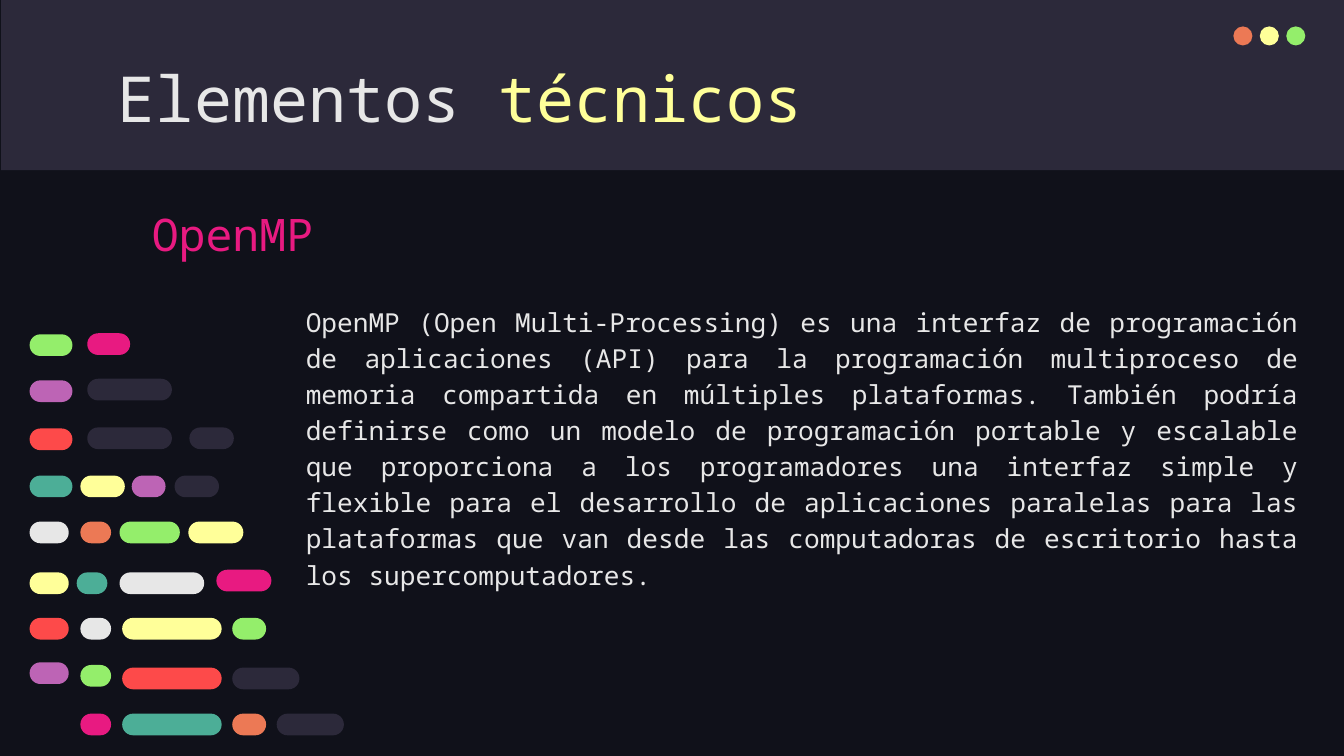
from pptx import Presentation
from pptx.dml.color import RGBColor
from pptx.enum.shapes import MSO_SHAPE
from pptx.enum.text import MSO_ANCHOR, MSO_AUTO_SIZE, PP_ALIGN
from pptx.util import Cm, Pt

RECTANGLE, OVAL, PILL = MSO_SHAPE.RECTANGLE, MSO_SHAPE.OVAL, MSO_SHAPE.ROUNDED_RECTANGLE
TOP, BOTTOM = MSO_ANCHOR.TOP, MSO_ANCHOR.BOTTOM
LEFT, JUSTIFY = PP_ALIGN.LEFT, PP_ALIGN.JUSTIFY
NO_AUTOFIT = MSO_AUTO_SIZE.NONE

THEME = {
    "font": "Noto Sans Mono",
    "sizes": {"title": 34, "heading": 24, "body": 14},
    "colours": {
        "night": "10111A", "slate": "2C293A", "white": "E7E7E7",
        "yellow": "FFFF99", "green": "94EE6B", "orange": "EC7955",
        "pink": "E81A81", "purple": "BD64B5", "red": "FD4A4A", "teal": "4CAE97",
    },
}

TITLE = [("Elementos ", "white"), ("técnicos", "yellow")]
HEADING = [("OpenMP", "pink")]
BODY = [(
    "OpenMP (Open Multi-Processing) es una interfaz de programación de "
    "aplicaciones (API) para la programación multiproceso de memoria compartida "
    "en múltiples plataformas. También podría definirse como un modelo de "
    "programación portable y escalable que proporciona a los programadores una "
    "interfaz simple y flexible para el desarrollo de aplicaciones paralelas para "
    "las plataformas que van desde las computadoras de escritorio hasta los "
    "supercomputadores.", "white")]

WINDOW_DOTS = ["orange", "yellow", "green"]
DOT_LEFT, DOT_TOP, DOT_SIZE, DOT_STEP = 23.31, 0.5, 0.36, 0.5

PILL_HEIGHT = 0.41
CODE_LINES = [
    (6.32, [(0.56, 0.81, "green")]),
    (6.3, [(1.65, 0.81, "pink")]),
    (7.19, [(0.56, 0.81, "purple")]),
    (7.16, [(1.65, 1.6, "slate")]),
    (8.1, [(0.56, 0.81, "red")]),
    (8.08, [(1.65, 1.6, "slate"), (3.58, 0.84, "slate")]),
    (8.99, [(0.56, 0.81, "teal"), (1.52, 0.84, "yellow"),
            (2.49, 0.64, "purple"), (3.3, 0.84, "slate")]),
    (9.86, [(0.56, 0.74, "white"), (1.52, 0.58, "orange"),
            (2.26, 1.14, "green"), (3.56, 1.04, "yellow")]),
    (10.82, [(0.56, 0.74, "yellow"), (1.45, 0.58, "teal"), (2.26, 1.6, "white")]),
    (10.77, [(4.09, 1.04, "pink")]),
    (11.68, [(0.56, 0.74, "red"), (1.52, 0.58, "white"),
             (2.31, 1.88, "yellow"), (4.39, 0.64, "green")]),
    (12.52, [(0.56, 0.74, "purple")]),
    (12.57, [(1.52, 0.58, "green")]),
    (12.62, [(2.31, 1.88, "red"), (4.39, 1.27, "slate")]),
    (13.49, [(1.52, 0.58, "pink"), (2.31, 1.88, "teal"),
             (4.39, 0.64, "orange"), (5.23, 1.27, "slate")]),
]


def colour(name):
    return RGBColor.from_string(THEME["colours"][name])


def add_block(shapes, kind, left, top, width, height, fill):
    shape = shapes.add_shape(kind, Cm(left), Cm(top), Cm(width), Cm(height))
    shape.shadow.inherit = False
    shape.fill.solid()
    shape.fill.fore_color.rgb = colour(fill)
    shape.line.fill.background()
    if kind == PILL:
        shape.adjustments[0] = 0.5
    return shape


def write_text(shape, runs, *, style, anchor=TOP, align=LEFT, spacing=1.0):
    frame = shape.text_frame
    frame.word_wrap = True
    frame.auto_size = NO_AUTOFIT
    frame.vertical_anchor = anchor
    frame.margin_left = frame.margin_right = Cm(0.25)
    frame.margin_top = frame.margin_bottom = Cm(0.25)
    paragraph = frame.paragraphs[0]
    paragraph.alignment = align
    paragraph.line_spacing = spacing
    for text, name in runs:
        run = paragraph.add_run()
        run.text = text
        run.font.name = THEME["font"]
        run.font.size = Pt(THEME["sizes"][style])
        run.font.color.rgb = colour(name)


def main():
    presentation = Presentation()
    presentation.slide_width, presentation.slide_height = Cm(25.4), Cm(14.29)
    slide = presentation.slides.add_slide(presentation.slide_layouts[5])
    slide.background.fill.solid()
    slide.background.fill.fore_color.rgb = colour("night")
    shapes = slide.shapes

    title = shapes.title
    title.left, title.top, title.width, title.height = Cm(1.98), Cm(0.86), Cm(13.54), Cm(1.6)
    band = add_block(shapes, RECTANGLE, 0.02, 0, 25.4, 3.22, "slate")
    title.element.addprevious(band.element)
    write_text(title, TITLE, style="title")

    dots = shapes.add_group_shape()
    for index, name in enumerate(WINDOW_DOTS):
        add_block(dots.shapes, OVAL, DOT_LEFT + index * DOT_STEP, DOT_TOP,
                  DOT_SIZE, DOT_SIZE, name)

    body = shapes.add_textbox(Cm(5.53), Cm(5.46), Cm(19.28), Cm(6.88))
    write_text(body, BODY, style="body", align=JUSTIFY, spacing=1.15)
    heading = shapes.add_textbox(Cm(2.62), Cm(3.58), Cm(11.46), Cm(1.6))
    write_text(heading, HEADING, style="heading", anchor=BOTTOM, spacing=1.15)

    code = shapes.add_group_shape()
    for top, pills in CODE_LINES:
        for left, width, name in pills:
            add_block(code.shapes, PILL, left, top, width, PILL_HEIGHT, name)

    presentation.save("out.pptx")


if __name__ == "__main__":
    main()
